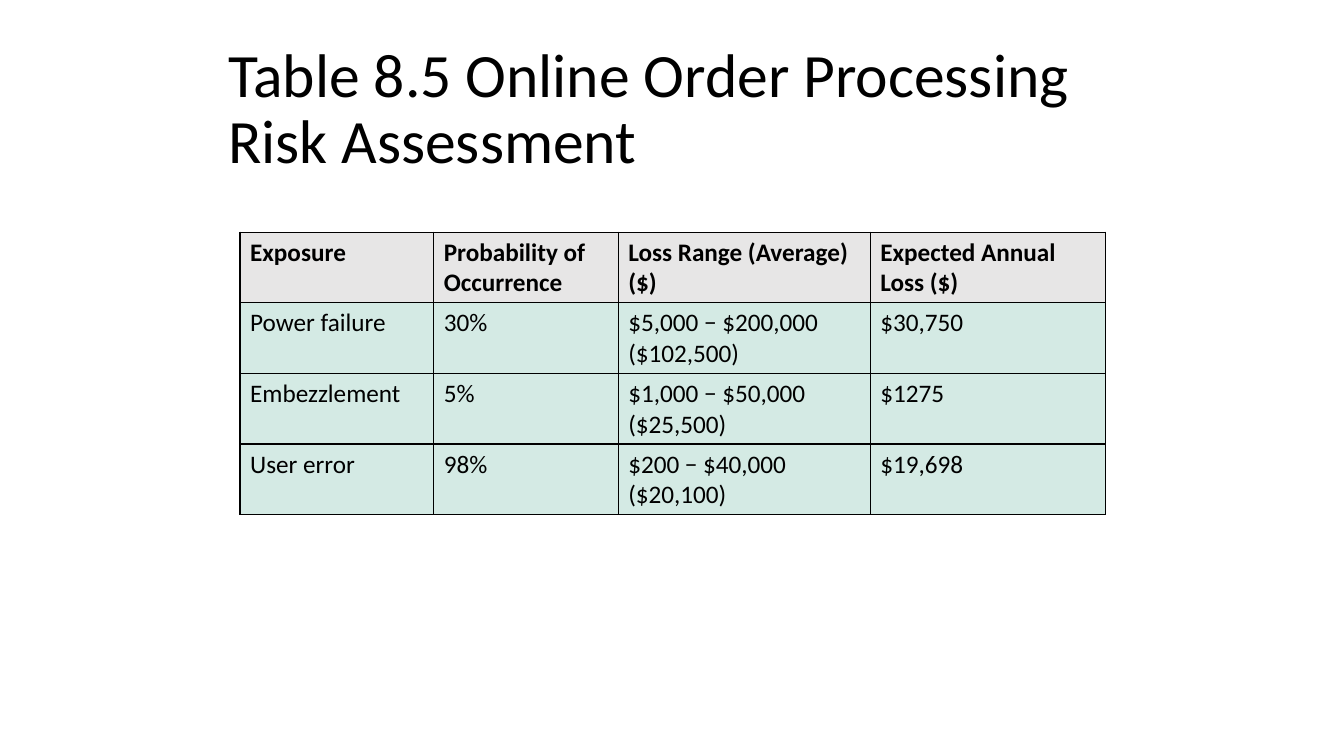
"""Build the online order processing risk assessment slide."""
from dataclasses import dataclass

from lxml.etree import SubElement
from pptx import Presentation
from pptx.dml.color import RGBColor
from pptx.enum.text import MSO_ANCHOR
from pptx.oxml.ns import qn
from pptx.util import Cm, Pt

TITLE = "Table 8.5 Online Order Processing Risk Assessment"
EXPOSURES = [
    ("Exposure", "Probability of Occurrence", "Loss Range (Average) ($)", "Expected Annual Loss ($)"),
    ("Power failure", "30%", "$5,000 − $200,000 ($102,500)", "$30,750"),
    ("Embezzlement", "5%", "$1,000 − $50,000 ($25,500)", "$1275"),
    ("User error", "98%", "$200 − $40,000 ($20,100)", "$19,698"),
]
COLUMN_WIDTHS = (4.88, 4.65, 6.35, 5.92)
ROW_HEIGHT = 1.78


@dataclass(frozen=True)
class Theme:
    font: str = "Calibri"
    ink: str = "000000"
    header_fill: str = "E7E6E6"
    body_fill: str = "D4EAE4"
    title_size: int = 44
    table_size: int = 18
    border: int = 1


THEME = Theme()


def write_text(frame, text, size, bold=False):
    para = frame.paragraphs[0]
    span = para.add_run()
    span.text = text
    values = {"name": THEME.font, "size": Pt(size), "bold": bold}
    for name, value in values.items():
        setattr(span.font, name, value)
    span.font.color.rgb = RGBColor.from_string(THEME.ink)
    return para


def add_borders(cell):
    properties = cell._tc.get_or_add_tcPr()
    for side in ("lnL", "lnR", "lnT", "lnB"):
        line = SubElement(properties, qn(f"a:{side}"), w=str(Pt(THEME.border)))
        fill = SubElement(line, qn("a:solidFill"))
        SubElement(fill, qn("a:srgbClr"), val=THEME.ink)


def add_title(page):
    box = page.shapes.add_textbox(Cm(5.5), Cm(0.97), Cm(22.86), Cm(3.63))
    frame_format = {"word_wrap": True, "vertical_anchor": MSO_ANCHOR.MIDDLE}
    for name, value in frame_format.items():
        setattr(box.text_frame, name, value)
    write_text(box.text_frame, TITLE, THEME.title_size).line_spacing = 0.9


def add_risk_table(page):
    table = page.shapes.add_table(
        len(EXPOSURES), len(COLUMN_WIDTHS), Cm(6.05), Cm(5.85),
        Cm(sum(COLUMN_WIDTHS)), Cm(ROW_HEIGHT * len(EXPOSURES)),
    ).table
    for column, width in zip(table.columns, COLUMN_WIDTHS):
        column.width = Cm(width)
    for row_number, (row, texts) in enumerate(zip(table.rows, EXPOSURES)):
        row.height = Cm(ROW_HEIGHT)
        is_header = row_number == 0
        fill_color = THEME.header_fill if is_header else THEME.body_fill
        for cell, text in zip(row.cells, texts):
            add_borders(cell)
            cell.fill.solid()
            cell.fill.fore_color.rgb = RGBColor.from_string(fill_color)
            write_text(cell.text_frame, text, THEME.table_size, is_header)


deck = Presentation()
deck.slide_width, deck.slide_height = Cm(33.87), Cm(19.05)
page = deck.slides.add_slide(deck.slide_layouts[6])
add_title(page)
add_risk_table(page)
deck.save("out.pptx")
